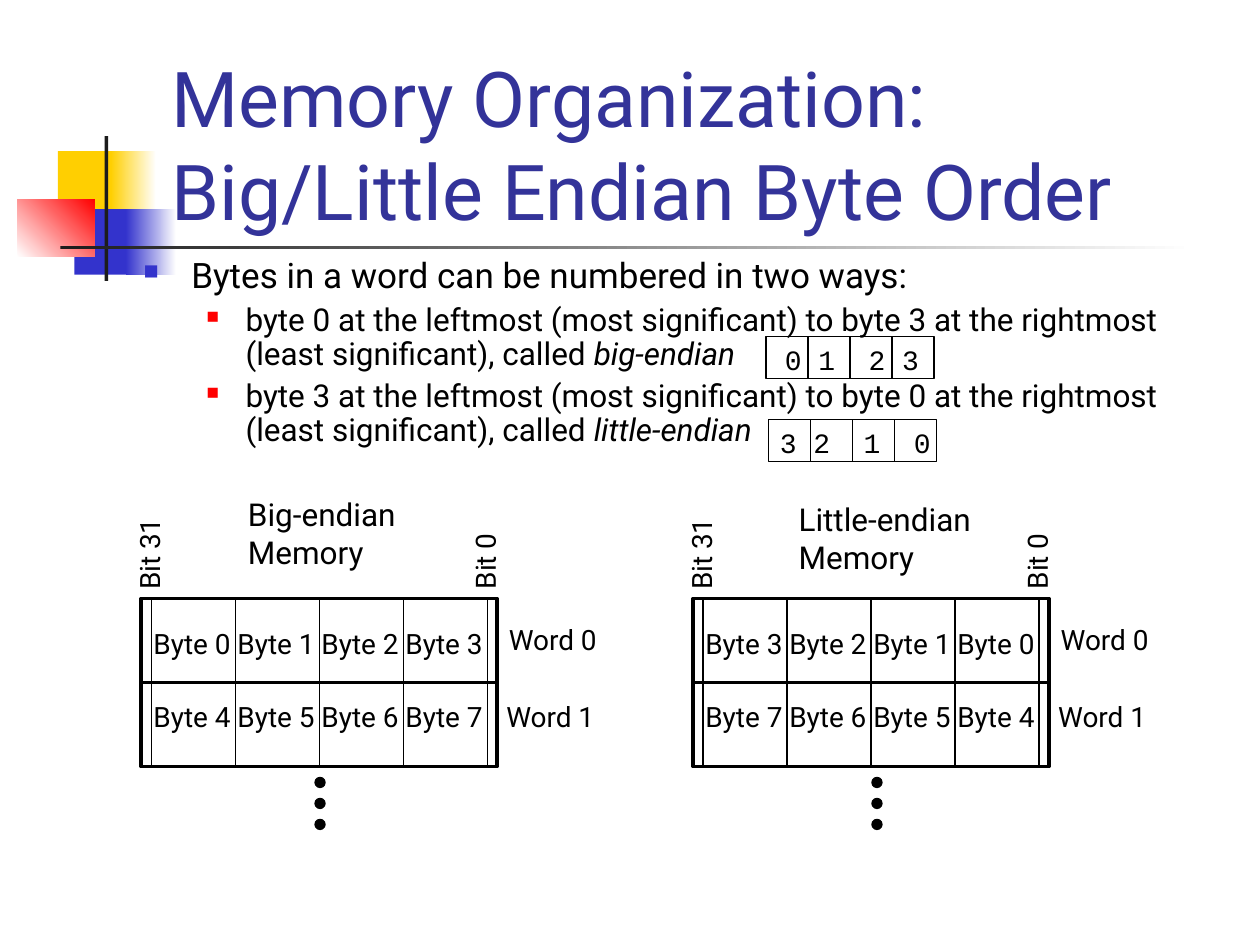
from lxml import etree
from pptx import Presentation
from pptx import util as u
from pptx.dml.color import RGBColor
from pptx.enum import shapes, text
from pptx.oxml.ns import qn

COLORS = {
    "black": "000000", "white": "FFFFFF", "title": "333399", "yellow": "FFCF01",
    "blue": "3333CC", "red": "FF0000", "bar": "1C1C1C",
}
FONT, MONO = "Roboto", "Courier New"
BYTE = 2 / 3          # side of a byte cell in the memory diagrams
MARGIN = 0.08         # strip beside the outer byte cells
MEMORY_TOP = 4.75
MEMORY_WIDTH = 4 * BYTE + 2 * MARGIN
STRIP_CELL = 1 / 3    # side of a cell in the small byte strips
CHARACTER = 0.133     # width of one 16 pt monospaced character


def color(name):
    return RGBColor.from_string(COLORS[name])


def inches(*values):
    return [u.Inches(value) for value in values]


def add_run(paragraph, words, size, font=FONT, fill="black", italic=False):
    run = paragraph.add_run()
    run.text = words
    run.font.name, run.font.size, run.font.italic = font, u.Pt(size), italic
    run.font.color.rgb = color(fill)


def add_filled(slide, kind, box, start, end=None, angle=0):
    """Add a borderless shape, graded when an end colour is given."""
    shape = slide.shapes.add_shape(kind, *inches(*box))
    shape.shadow.inherit = False
    shape.line.fill.background()
    if end:
        shape.fill.gradient()
        shape.fill.gradient_angle = angle
        for stop, name in zip(shape.fill.gradient_stops, (start, end)):
            stop.color.rgb = color(name)
    else:
        shape.fill.solid()
        shape.fill.fore_color.rgb = color(start)
    return shape


def add_frame(slide, box, weight):
    frame = slide.shapes.add_shape(shapes.MSO_SHAPE.RECTANGLE, *inches(*box))
    frame.shadow.inherit = False
    frame.fill.background()
    frame.line.color.rgb = color("black")
    frame.line.width = u.Pt(weight)
    return frame


def add_line(slide, start, end, weight, frame=None, sites=None):
    """Add a line, joined to two sites of a frame when given."""
    line = slide.shapes.add_connector(
        shapes.MSO_CONNECTOR.STRAIGHT, *inches(*start, *end))
    line.line.color.rgb = color("black")
    line.line.width = u.Pt(weight)
    etree.SubElement(line._element.spPr, qn("a:effectLst"))
    if frame is not None:
        line.begin_connect(frame, sites[0])
        line.end_connect(frame, sites[1])


def add_divider(slide, x, top, height, frame=None):
    add_line(slide, (x, top), (x, top + height), 0.75, frame, (0, 2))


def add_label(slide, box, lines, size=16, rotation=0):
    label = slide.shapes.add_textbox(*inches(*box))
    label.rotation = rotation
    frame = label.text_frame
    frame.word_wrap = False
    frame.auto_size = text.MSO_AUTO_SIZE.SHAPE_TO_FIT_TEXT
    for index, words in enumerate(lines):
        paragraph = frame.add_paragraph() if index else frame.paragraphs[0]
        add_run(paragraph, words, size)


def add_bullet(paragraph, fill, percent, margin, hanging):
    properties = paragraph._p.get_or_add_pPr()
    properties.set("marL", str(u.Inches(margin)))
    properties.set("indent", str(-u.Inches(hanging)))
    bullet_color = etree.SubElement(properties, qn("a:buClr"))
    etree.SubElement(bullet_color, qn("a:srgbClr"), val=COLORS[fill])
    etree.SubElement(properties, qn("a:buSzPct"), val=str(percent * 1000))
    etree.SubElement(properties, qn("a:buChar"), char="■")


def add_decoration(slide):
    rectangle = shapes.MSO_SHAPE.RECTANGLE
    for box, *fill in (
        ((0.46, 1.2, 0.48, 0.52), "yellow"),
        ((0.88, 1.2, 0.36, 0.52), "yellow", "white"),
        ((0.59, 1.66, 0.46, 0.52), "blue"),
        ((1, 1.66, 0.4, 0.52), "blue", "white"),
        ((0.14, 1.58, 0.61, 0.46), "white", "red", 45),
        ((0.83, 1.08, 0.03, 1.15), "bar"),
        ((0.48, 1.95, 9, 0.03), "bar", "white"),
    ):
        add_filled(slide, rectangle, box, *fill)


def fill_title(slide, lines):
    title = slide.shapes.title
    title.left, title.top, title.width, title.height = inches(1.26, 0.67, 8.52, 1.25)
    title.element.getparent().append(title.element)  # in front of the decoration
    frame = title.text_frame
    frame.auto_size = text.MSO_AUTO_SIZE.NONE
    frame.vertical_anchor = text.MSO_ANCHOR.BOTTOM
    paragraph = frame.paragraphs[0]
    paragraph.alignment = text.PP_ALIGN.LEFT
    for index, words in enumerate(lines):
        if index:
            paragraph.add_line_break()
        add_run(paragraph, words, 44, fill="title")


def add_body(slide):
    frame = slide.shapes.add_textbox(*inches(1.04, 2, 8.71, 1.7)).text_frame
    frame.word_wrap = True
    paragraph = frame.paragraphs[0]
    add_bullet(paragraph, "blue", 60, 0.38, 0.38)
    paragraph.line_spacing = 0.9
    add_run(paragraph, "Bytes in a word can be numbered in two ways:", 20)
    for left, right, name in ((0, 3, "big-endian"), (3, 0, "little-endian")):
        paragraph = frame.add_paragraph()
        paragraph.level = 1
        add_bullet(paragraph, "red", 55, 0.81, 0.31)
        paragraph.line_spacing = 0.9
        paragraph.space_before = u.Pt(4.5)
        add_run(paragraph, f"byte {left} at the leftmost (most significant) to byte "
                f"{right} at the rightmost (least significant), called ", 18)
        add_run(paragraph, name, 18, italic=True)


def add_byte_strip(slide, left, top, text_left, digits, columns):
    """Draw four cells; columns are the tab stops of the digits in characters."""
    frame = add_frame(slide, (left, top, 4 * STRIP_CELL, STRIP_CELL), 0.75)
    for index in (1, 2, 3):
        add_divider(slide, left + index * STRIP_CELL, top, STRIP_CELL,
                    frame if index == 2 else None)
    box = slide.shapes.add_textbox(*inches(text_left, top, 1.45, 0.37))
    box.text_frame.word_wrap = True
    paragraph = box.text_frame.paragraphs[0]
    tabs = etree.SubElement(paragraph._p.get_or_add_pPr(), qn("a:tabLst"))
    for column in columns:
        etree.SubElement(tabs, qn("a:tab"), algn="l",
                         pos=str(u.Inches(column * CHARACTER)))
    add_run(paragraph, "\t".join(digits), 16, MONO)


def add_memory(slide, left, words, heading, heading_box, dots_left):
    """Draw a two-word memory with its bit, byte and word labels."""
    frame = add_frame(slide, (left, MEMORY_TOP, MEMORY_WIDTH, 2 * BYTE), 2)
    middle = MEMORY_TOP + BYTE
    add_line(slide, (left, middle), (left + MEMORY_WIDTH, middle), 2, frame, (1, 3))
    for index in range(5):
        add_divider(slide, left + MARGIN + index * BYTE, MEMORY_TOP, 2 * BYTE,
                    frame if index == 2 else None)
    add_label(slide, (left - 0.33, 4.2, 0.79, 0.37), ["Bit 31"], rotation=270)
    add_label(slide, (left + 2.4, 4.26, 0.66, 0.37), ["Bit 0"], rotation=270)
    add_label(slide, (left + 2.82, 4.89, 0.95, 0.37), ["Word 0"])
    add_label(slide, (left + 2.8, 5.5, 0.95, 0.37), ["Word 1"])
    for top, numbers in zip((4.92, 5.5), words):
        for index, number in enumerate(numbers):
            add_label(slide, (left + index * BYTE, top, 0.84, 0.37), [f"Byte {number}"])
    for index in range(3):
        dot = add_filled(slide, shapes.MSO_SHAPE.OVAL,
                         (dots_left, 6.17 + index / 6, 0.08, 0.08), "black")
        dot.line.color.rgb = color("black")
        dot.line.width = u.Pt(0.75)
    add_label(slide, heading_box, [heading, "Memory"], 18)


def main():
    presentation = Presentation()
    presentation.slide_width, presentation.slide_height = inches(10, 7.5)
    slide = presentation.slides.add_slide(presentation.slide_layouts[5])
    add_decoration(slide)
    fill_title(slide, ["Memory Organization:", "Big/Little Endian Byte Order"])
    add_body(slide)
    add_byte_strip(slide, 6.08, 2.67, 6.13, "0123", (2, 5, 7))
    add_byte_strip(slide, 6.1, 3.33, 6.09, "3210", (2, 5, 8))
    add_memory(slide, 1.12, ((0, 1, 2, 3), (4, 5, 6, 7)), "Big-endian",
               (1.87, 3.88, 1.47, 0.7), 2.5)
    add_memory(slide, 5.5, ((3, 2, 1, 0), (7, 6, 5, 4)), "Little-endian",
               (6.24, 3.92, 1.67, 0.7), 6.92)
    presentation.save("out.pptx")


if __name__ == "__main__":
    main()
